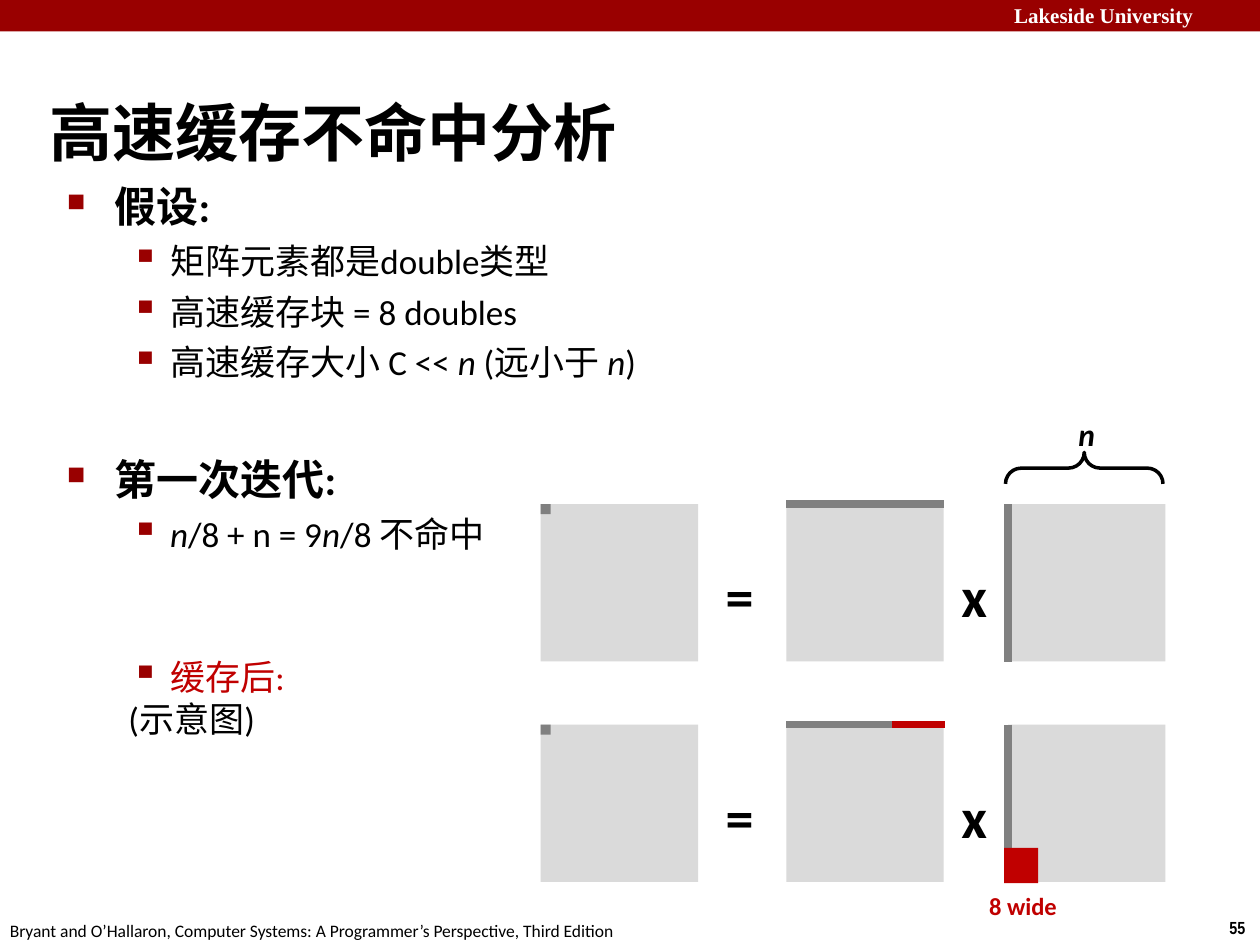
from lxml.etree import SubElement
from pptx import Presentation
from pptx.dml.color import RGBColor
from pptx.enum.shapes import MSO_CONNECTOR, MSO_SHAPE
from pptx.enum.text import MSO_ANCHOR, MSO_AUTO_SIZE, PP_ALIGN
from pptx.oxml.ns import qn
from pptx.util import Inches, Pt

COLS, ROWS = 100, 75
WIDTH, HEIGHT = Inches(10), Inches(7.5)
BLACK = RGBColor(0x00, 0x00, 0x00)
WHITE = RGBColor(0xFF, 0xFF, 0xFF)
BANNER = RGBColor(0x99, 0x00, 0x00)
RED = RGBColor(0xC0, 0x00, 0x00)
LIGHT = RGBColor(0xDA, 0xDA, 0xDA)
GRAY = RGBColor(0x80, 0x80, 0x80)


def grid(c, r, w, h):
    col, row = WIDTH / COLS, HEIGHT / ROWS
    return round(c * col), round(r * row), round(w * col), round(h * row)


def add_rect(s, area, color):
    sp = s.shapes.add_shape(MSO_SHAPE.RECTANGLE, *grid(*area))
    sp.shadow.inherit = False
    sp.fill.solid()
    sp.fill.fore_color.rgb = color
    sp.line.fill.background()


def add_line(s, c, r, w, h, color):
    x, y, dx, dy = grid(c, r, w, h)
    ln = s.shapes.add_connector(MSO_CONNECTOR.STRAIGHT, x, y, x + dx, y + dy)
    ln.line.color.rgb = color
    ln.line.width = Pt(4.5)
    SubElement(ln._element.spPr, qn("a:effectLst"))


def add_brace(s, area):
    sp = s.shapes.add_shape(MSO_SHAPE.LEFT_BRACE, *grid(*area))
    sp.rotation = 90
    sp.adjustments[0] = 0.5
    sp.shadow.inherit = False
    sp.fill.background()
    sp.line.color.rgb = BLACK
    sp.line.width = Pt(2)


def add_run(p, text, size, color=BLACK, bold=False, italic=False, font="Calibri"):
    r = p.add_run()
    r.text = text
    r.font.size = Pt(size)
    r.font.name = font
    r.font.bold = bold
    r.font.italic = italic
    r.font.color.rgb = color


def add_frame(s, area, inset=0, wrap=True):
    tf = s.shapes.add_textbox(*grid(*area)).text_frame
    tf.word_wrap = wrap
    tf.margin_left = tf.margin_right = Inches(inset)
    tf.margin_top = tf.margin_bottom = Inches(inset / 2)
    return tf


def add_label(s, area, text, size, inset=0, wrap=True, **style):
    tf = add_frame(s, area, inset, wrap)
    add_run(tf.paragraphs[0], text, size, **style)


def next_paragraph(tf):
    p = tf.paragraphs[0]
    return tf.add_paragraph() if p.runs else p


def set_bullet(p, char, percent, margin, indent):
    pPr = p._p.get_or_add_pPr()
    pPr.set("marL", str(Inches(margin)))
    pPr.set("indent", str(Inches(indent)))
    color = SubElement(pPr, qn("a:buClr"))
    SubElement(color, qn("a:srgbClr"), val=str(BANNER))
    SubElement(pPr, qn("a:buSzPct"), val=str(percent * 1000))
    SubElement(pPr, qn("a:buChar"), char=char)


def add_heading(tf, text, spacing=None):
    p = next_paragraph(tf)
    if spacing:
        p.line_spacing = Pt(spacing)
    set_bullet(p, "■", 60, 0.39, -0.38)
    add_run(p, text, 24, bold=True)


def add_item(tf, parts, margin=0.83, before=5, color=BLACK):
    p = next_paragraph(tf)
    p.space_before = Pt(before)
    set_bullet(p, "▪", 110, margin, -0.31)
    for text in parts:
        add_run(p, text, 20, color, italic=text == "n")


def add_title(s, text):
    sp = s.shapes.title
    sp.left, sp.top, sp.width, sp.height = grid(3.9, 4.3, 83, 9.2)
    tf = sp.text_frame
    tf.auto_size = MSO_AUTO_SIZE.NONE
    tf.vertical_anchor = MSO_ANCHOR.MIDDLE
    tf.margin_left = tf.margin_right = tf.margin_bottom = 0
    tf.margin_top = Inches(0.31)
    p = tf.paragraphs[0]
    p.alignment = PP_ALIGN.LEFT
    add_run(p, text, 36, bold=True)


def add_body(s):
    tf = add_frame(s, (5.2, 14.3, 81.7, 30.1))
    add_heading(tf, "假设:")
    add_item(tf, ["矩阵元素都是double类型"])
    add_item(tf, ["高速缓存块 = 8 doubles"])
    add_item(tf, ["高速缓存大小 C << ", "n", " (远小于 ", "n", ")"])
    p = tf.add_paragraph()
    p.alignment = PP_ALIGN.RIGHT
    p.line_spacing = Pt(21.6)
    p.space_before = Pt(18.6)
    add_run(p, "n", 18, bold=True, italic=True)
    add_heading(tf, "第一次迭代:", 28.8)
    add_item(tf, ["n", "/8 + n = 9", "n", "/8 不命中"])

    tf = add_frame(s, (10.2, 52, 26.7, 6.7))
    add_item(tf, ["缓存后:"], 0.33, 0, RED)
    add_run(tf.add_paragraph(), "(示意图)", 20)


def add_product(s, r):
    side = 12.5
    for c in (42.9, 62.4, 80):
        add_rect(s, (c, r, side, side), LIGHT)
    add_rect(s, (42.9, r, 0.8, 0.8), GRAY)
    add_line(s, 62.4, r, side, 0, GRAY)
    add_line(s, 80, r, 0, side, GRAY)
    for c, sign in ((57.6, "="), (76.3, "x")):
        add_label(s, (c, r + 4.6, 2.5, 4.7), sign, 32, bold=True)


def add_cached(s, r):
    add_line(s, 70.8, r, 4.2, 0, RED)
    add_rect(s, (79.7, r + 9.8, 2.7, 2.8), RED)
    add_label(s, (78.5, r + 13.2, 5.7, 2.2), "8 wide", 14, color=RED, bold=True)


def add_frame_texts(s):
    add_rect(s, (0, 0, COLS, 2.5), BANNER)
    add_label(s, (79.5, -0.3, 21.2, 3), "Lakeside University", 12, inset=0.1,
              color=WHITE, bold=True, font="Times New Roman")
    add_label(s, (96.6, 72.3, 3.4, 2.7), "55", 10, inset=0.1, wrap=False,
              bold=True, font="Arial Narrow")
    add_label(s, (-0.2, 72.5, 50.9, 2.7),
              "Bryant and O’Hallaron, Computer Systems: "
              "A Programmer’s Perspective, Third Edition",
              10, inset=0.1, wrap=False)


def main():
    prs = Presentation()
    prs.slide_width, prs.slide_height = WIDTH, HEIGHT
    s = prs.slides.add_slide(prs.slide_layouts[5])
    add_frame_texts(s)
    add_title(s, "高速缓存不命中分析")
    add_body(s)
    for r in (40, 57.5):
        add_product(s, r)
    add_cached(s, 57.5)
    add_brace(s, (84.8, 30.9, 2.5, 12.5))
    prs.save("out.pptx")


if __name__ == "__main__":
    main()
